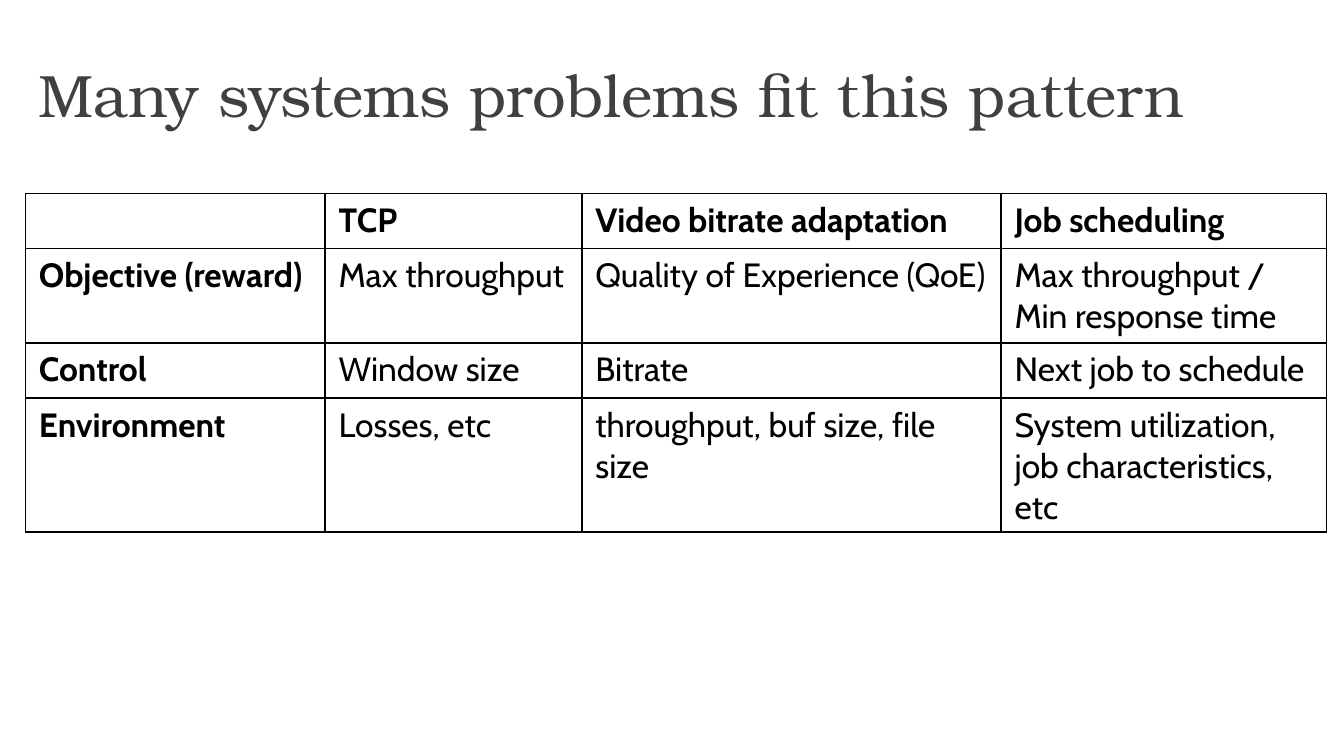
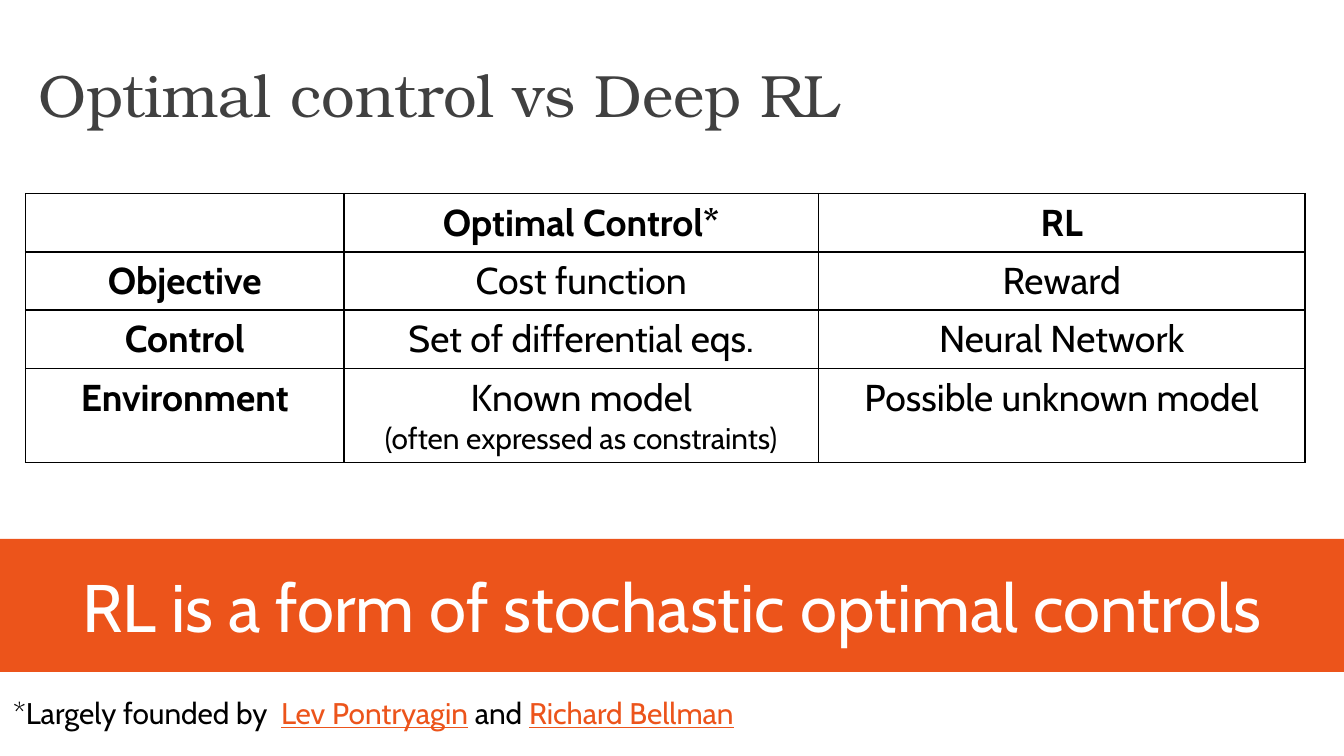
import pptx
import pptx.dml.color
import pptx.enum.shapes
import pptx.enum.text
import pptx.oxml
import pptx.oxml.ns
import pptx.util
from pptx.util import Inches

BLACK = pptx.dml.color.RGBColor(0x00, 0x00, 0x00)
WHITE = pptx.dml.color.RGBColor(0xFF, 0xFF, 0xFF)
GRAY = pptx.dml.color.RGBColor(0x40, 0x40, 0x40)
ORANGE = pptx.dml.color.RGBColor(0xEC, 0x54, 0x1B)

TITLE_FONT = "TeX Gyre Bonum"
BODY_FONT = "Cabin"
SLIDE_WIDTH = 10
SLIDE_HEIGHT = SLIDE_WIDTH * 9 / 16
LEFT = 0.19
TITLE_BOX = (LEFT, 0.23, 9.68, 0.94)
TABLE_TOP = 1.44
ROW_HEIGHT = 0.41
CENTER = pptx.enum.text.PP_ALIGN.CENTER
MIDDLE = pptx.enum.text.MSO_ANCHOR.MIDDLE

SYSTEMS_COLUMNS = (2.23, 1.91, 3.12, 2.42)
SYSTEMS_ROWS = (
    ("", "TCP", "Video bitrate adaptation", "Job scheduling"),
    ("Objective (reward)", "Max throughput", "Quality of Experience (QoE)",
     "Max throughput / Min response time"),
    ("Control", "Window size", "Bitrate", "Next job to schedule"),
    ("Environment", "Losses, etc", "throughput, buf size, file size",
     "System utilization, job characteristics, etc"),
)
CONTROL_COLUMNS = (2.37, 3.53, 3.62)
CONTROL_ROWS = (
    ("", "Optimal Control*", "RL"),
    ("Objective", "Cost function", "Reward"),
    ("Control", "Set of differential eqs.", "Neural Network"),
    ("Environment", "Known model\n(often expressed as constraints)",
     "Possible unknown model"),
)
FOOTNOTE = (
    ("*Largely founded by  ", False),
    ("Lev Pontryagin", True),
    (" and ", False),
    ("Richard Bellman", True),
)


def style_font(font, size, color, name=BODY_FONT, bold=False):
    font.name = name
    font.size = pptx.util.Pt(size)
    font.color.rgb = color
    font.bold = bold


def style_text(text_frame, size, color, name=BODY_FONT, bold=False, align=None):
    for paragraph in text_frame.paragraphs:
        paragraph.alignment = align
        style_font(paragraph.font, size, color, name, bold)
        for run in paragraph.runs:
            style_font(run.font, size, color, name, bold)


def add_text_box(slide, box):
    text_frame = slide.shapes.add_textbox(*map(Inches, box)).text_frame
    text_frame.word_wrap = True
    return text_frame


def add_title(slide, text):
    text_frame = add_text_box(slide, TITLE_BOX)
    text_frame.vertical_anchor = MIDDLE
    text_frame.text = text
    style_text(text_frame, 32, GRAY, TITLE_FONT)


def set_borders(cell, color, width):
    properties = cell._tc.get_or_add_tcPr()
    # Border lines come before the fill in the cell properties
    for position, side in enumerate(("lnL", "lnR", "lnT", "lnB")):
        properties.insert(position, pptx.oxml.parse_xml(
            f'<a:{side} {pptx.oxml.ns.nsdecls("a")} w="{pptx.util.Pt(width)}">'
            f'<a:solidFill><a:srgbClr val="{color}"/></a:solidFill></a:{side}>'))


def add_grid(slide, rows, columns, size, align=None):
    """Table with a bold first row and first column."""
    frame = slide.shapes.add_table(
        len(rows), len(columns), Inches(LEFT), Inches(TABLE_TOP),
        Inches(sum(columns)), Inches(ROW_HEIGHT * len(rows)))
    table = frame.table
    table.first_row = table.horz_banding = False
    for column, width in zip(table.columns, columns):
        column.width = Inches(width)
    for row_index, texts in enumerate(rows):
        table.rows[row_index].height = Inches(ROW_HEIGHT)
        for column_index, text in enumerate(texts):
            cell = table.cell(row_index, column_index)
            cell.fill.background()
            set_borders(cell, BLACK, 1)
            cell.text_frame.text = text
            heading = row_index == 0 or column_index == 0
            style_text(cell.text_frame, size, BLACK, bold=heading, align=align)
    return table


def add_banner(slide, box, text):
    banner = slide.shapes.add_shape(
        pptx.enum.shapes.MSO_SHAPE.RECTANGLE, *map(Inches, box))
    banner.shadow.inherit = False
    banner.fill.solid()
    banner.fill.fore_color.rgb = ORANGE
    banner.line.fill.background()
    banner.text_frame.word_wrap = True
    banner.text_frame.vertical_anchor = MIDDLE
    banner.text_frame.text = text
    style_text(banner.text_frame, 36, WHITE, align=CENTER)


def add_footnote(slide, box, parts):
    paragraph = add_text_box(slide, box).paragraphs[0]
    for text, is_name in parts:
        run = paragraph.add_run()
        run.text = text
        style_font(run.font, 16, ORANGE if is_name else BLACK)
        run.font.underline = is_name


def build_systems_slide(slide):
    add_title(slide, "Many systems problems fit this pattern")
    add_grid(slide, SYSTEMS_ROWS, SYSTEMS_COLUMNS, 18)


def build_control_slide(slide):
    add_title(slide, "Optimal control vs Deep RL")
    table = add_grid(slide, CONTROL_ROWS, CONTROL_COLUMNS, 20, CENTER)
    # Smaller second line under "Known model"
    remark = table.cell(3, 1).text_frame.paragraphs[1]
    remark.runs[0].font.size = pptx.util.Pt(16)
    add_footnote(slide, (0, 5.12, 5.63, 0.37), FOOTNOTE)
    add_banner(slide, (0, 4.01, SLIDE_WIDTH, 0.99),
               "RL is a form of stochastic optimal controls")


def main():
    presentation = pptx.Presentation()
    presentation.slide_width = Inches(SLIDE_WIDTH)
    presentation.slide_height = Inches(SLIDE_HEIGHT)
    blank = presentation.slide_layouts[6]
    for build in (build_systems_slide, build_control_slide):
        build(presentation.slides.add_slide(blank))
    presentation.save("out.pptx")


if __name__ == "__main__":
    main()
